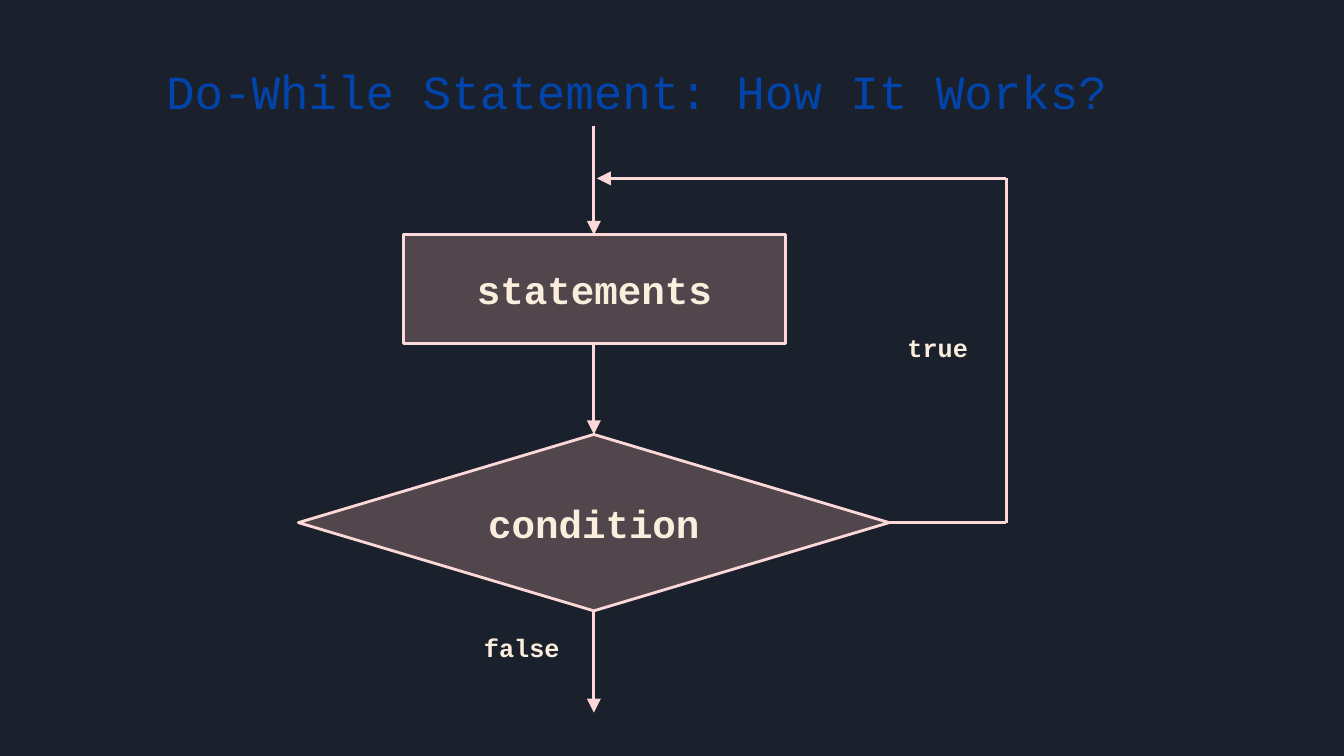
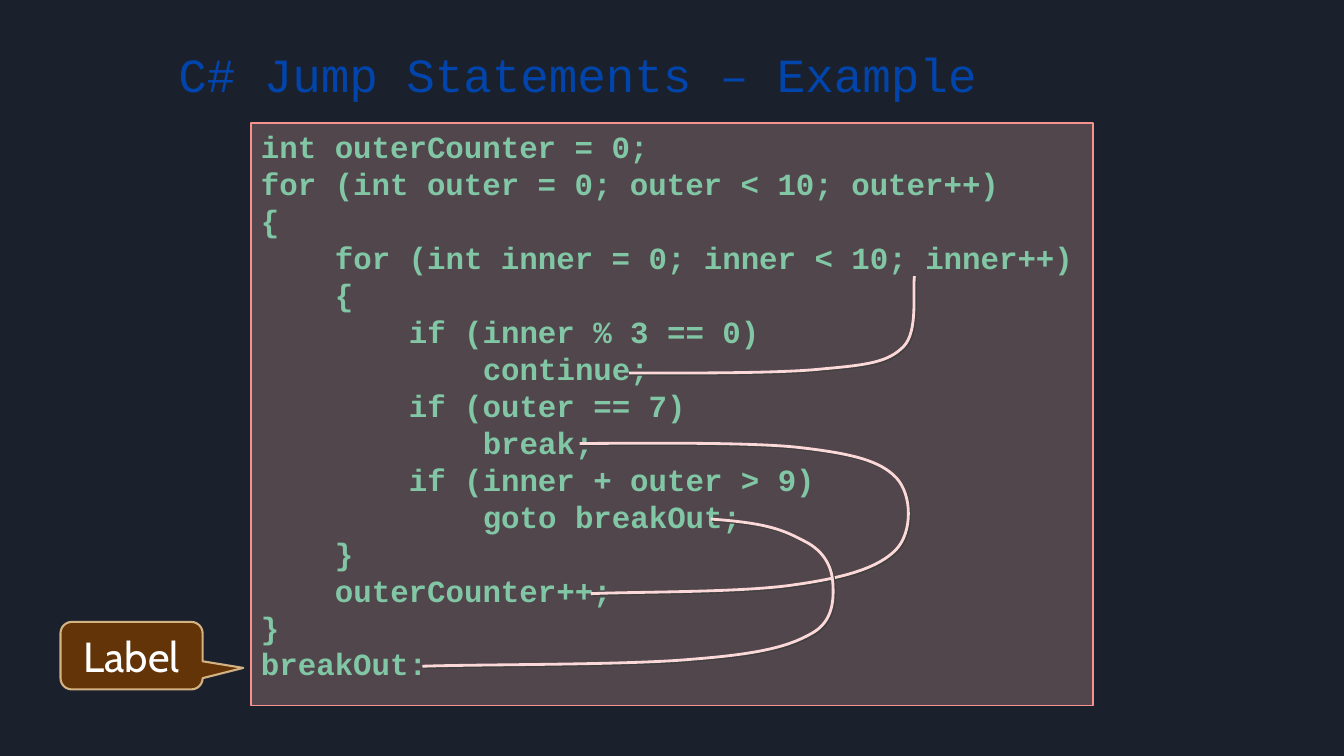
import pptx
import pptx.util
import pptx.dml.color
import pptx.enum.shapes
import pptx.enum.text
import pptx.oxml
import pptx.oxml.ns
from pptx.util import Inches, Pt

BACKGROUND = "1B212C"
TITLE_BLUE = "0145AC"
PANEL_PINK = "FAB6B3"
LINE_PINK = "FCD9D8"
CREAM = "FBEEDC"
CODE_GREEN = "82C7A5"
MONO = "Courier New"

SHAPES = pptx.enum.shapes.MSO_SHAPE
ANCHORS = pptx.enum.text.MSO_ANCHOR
ALIGNS = pptx.enum.text.PP_ALIGN

CODE_SIZE = 22
INDENT_STEP = 4 * 0.6 * CODE_SIZE  # four monospaced characters, in points
# Level of the first line, level of the line after a break, text
CODE = [
    (0, 0, "int outerCounter = 0;"),
    (0, 0, "for (int outer = 0; outer < 10; outer++)"),
    (0, 1, "{\vfor (int inner = 0; inner < 10; inner++)"),
    (1, 2, "{\vif (inner % 3 == 0)"),
    (3, 2, "continue;\vif (outer == 7)"),
    (3, 2, "break;\vif (inner + outer > 9)"),
    (3, 1, "goto breakOut;\v}"),
    (1, 1, "outerCounter++;"),
    (0, 0, "}\vbreakOut:"),
]

# Start point, then three points for each Bézier segment,
# in inches from the code panel's corner
CONTINUE_JUMP = [
    (3.75, 2.48),
    (4.08, 2.48), (5.22, 2.49), (5.67, 2.44),
    (6.13, 2.40), (6.32, 2.37), (6.47, 2.22),
    (6.62, 2.07), (6.56, 1.67), (6.58, 1.52),
]
BREAK_JUMP = [
    (3.26, 3.18),
    (3.63, 3.18), (4.92, 3.16), (5.44, 3.22),
    (5.96, 3.28), (6.24, 3.35), (6.40, 3.52),
    (6.56, 3.69), (6.56, 4.06), (6.40, 4.23),
    (6.23, 4.41), (5.90, 4.51), (5.40, 4.58),
    (4.89, 4.66), (3.79, 4.65), (3.37, 4.67),
]
GOTO_JUMP = [
    (4.56, 3.93),
    (5.13, 3.97), (5.28, 4.04), (5.49, 4.15),
    (5.69, 4.25), (5.76, 4.41), (5.77, 4.56),
    (5.78, 4.72), (5.78, 4.95), (5.55, 5.07),
    (5.32, 5.20), (5.02, 5.27), (4.38, 5.32),
    (3.74, 5.38), (2.26, 5.37), (1.70, 5.39),
]


def add_xml(parent, tag, **attributes):
    child = pptx.oxml.parse_xml(f"<a:{tag} {pptx.oxml.ns.nsdecls('a')}/>")
    for name, value in attributes.items():
        child.set(name, str(value))
    parent.append(child)
    return child


def paint(fill, color, opacity=100):
    fill.solid()
    fill.fore_color.rgb = pptx.dml.color.RGBColor.from_string(color)
    if opacity < 100:
        srgb = fill._xPr.find(".//" + pptx.oxml.ns.qn("a:srgbClr"))
        add_xml(srgb, "alpha", val=opacity * 1000)


def style_line(line, color=LINE_PINK, width=2, opacity=100):
    paint(line.fill, color, opacity)
    line.width = Pt(width)


def style_paragraph(paragraph, size, color, font=MONO, bold=False, align=ALIGNS.CENTER):
    paragraph.alignment = align
    paragraph.font.name = font
    paragraph.font.size = Pt(size)
    paragraph.font.bold = bold
    paint(paragraph.font.fill, color)


def add_text(slide, box, text, anchor=ANCHORS.TOP, **style):
    frame = slide.shapes.add_textbox(*map(Inches, box)).text_frame
    frame.word_wrap = True
    frame.vertical_anchor = anchor
    paragraph = frame.paragraphs[0]
    paragraph.text = text
    style_paragraph(paragraph, **style)
    return paragraph


def add_panel(slide, preset, box, color=PANEL_PINK, opacity=25):
    panel = slide.shapes.add_shape(preset, *map(Inches, box))
    panel.shadow.inherit = False
    paint(panel.fill, color, opacity)
    panel.text_frame.word_wrap = True
    panel.text_frame.vertical_anchor = ANCHORS.MIDDLE
    return panel


def add_step(slide, preset, box, text):
    step = add_panel(slide, preset, box)
    style_line(step.line)
    paragraph = step.text_frame.paragraphs[0]
    paragraph.text = text
    style_paragraph(paragraph, 28, CREAM, bold=True)


def add_flow(slide, start, end, arrow=True):
    flow = slide.shapes.add_connector(
        pptx.enum.shapes.MSO_CONNECTOR.STRAIGHT, *map(Inches, (*start, *end)))
    style_line(flow.line)
    if arrow:
        add_xml(flow.line._ln, "tailEnd", type="triangle", w="lg", len="lg")
    add_xml(flow._element.spPr, "effectLst")


def add_titled_slide(deck, title, box):
    slide = deck.slides.add_slide(deck.slide_layouts[6])
    paint(slide.background.fill, BACKGROUND)
    heading = add_text(slide, box, title, ANCHORS.BOTTOM, size=34,
                       color=TITLE_BLUE, align=ALIGNS.LEFT)
    heading.line_spacing = 0.9
    return slide


def add_loop_chart(slide, box):
    """Draw the do-while flow: statements, condition and the way back."""
    left, top, width, height = box
    right, bottom = left + width, top + height
    decision_width, decision_height = 5.86, 1.75
    axis = left + decision_width / 2
    statements_top, statements_height = top + 1.08, 1.08
    statements_bottom = statements_top + statements_height
    decision_top = top + 3.06
    decision_middle = decision_top + decision_height / 2
    loop_top = top + 0.52

    add_step(slide, SHAPES.RECTANGLE,
             (axis - 1.89, statements_top, 3.79, statements_height), "statements")
    add_step(slide, SHAPES.FLOWCHART_DECISION,
             (left, decision_top, decision_width, decision_height), "condition")

    for start, end in ((top, statements_top),
                       (statements_bottom, decision_top),
                       (decision_top + decision_height, bottom)):
        add_flow(slide, (axis, start), (axis, end))

    lower_corner, upper_corner = (right, decision_middle), (right, loop_top)
    add_flow(slide, (left + decision_width, decision_middle), lower_corner, arrow=False)
    add_flow(slide, lower_corner, upper_corner, arrow=False)
    add_flow(slide, upper_corner, (axis + 0.03, loop_top))

    for text, x, y, label_width in (("true", 5.81, 2, 1.06),
                                    ("false", 1.54, 4.97, 1.35)):
        add_text(slide, (left + x, top + y, label_width, 0.4), text,
                 size=18, color=CREAM, bold=True)


def bend_segments(freeform):
    """Turn each three straight segments into one cubic Bézier segment."""
    qn = pptx.oxml.ns.qn
    outline = freeform._element.spPr.find(".//" + qn("a:pathLst"))[0]
    segments = outline.findall(qn("a:lnTo"))
    for first in range(0, len(segments), 3):
        curve = add_xml(outline, "cubicBezTo")
        for segment in segments[first:first + 3]:
            curve.append(segment[0])
            outline.remove(segment)


def add_jump(slide, left, top, points):
    start, *rest = [(Inches(left + x), Inches(top + y)) for x, y in points]
    builder = slide.shapes.build_freeform(*start)
    builder.add_line_segments(rest, close=False)
    jump = builder.convert_to_shape()
    bend_segments(jump)
    jump.fill.background()
    style_line(jump.line)
    jump.shadow.inherit = False
    effects = jump._element.spPr.find(pptx.oxml.ns.qn("a:effectLst"))
    shadow = add_xml(effects, "outerShdw", dist=Pt(1.4), dir=45 * 60000)
    add_xml(shadow, "srgbClr", val="3F3F3F")


def add_code_panel(slide, box):
    left, top = box[:2]
    panel = add_panel(slide, SHAPES.RECTANGLE, box)
    style_line(panel.line, "F8928E", 1)
    frame = panel.text_frame
    frame.vertical_anchor = ANCHORS.TOP
    for number, (first_level, next_level, code) in enumerate(CODE):
        paragraph = frame.add_paragraph() if number else frame.paragraphs[0]
        paragraph.text = code
        paragraph.line_spacing = Pt(1.2 * CODE_SIZE)
        style_paragraph(paragraph, CODE_SIZE, CODE_GREEN, bold=True, align=ALIGNS.LEFT)
        properties = paragraph._p.get_or_add_pPr()
        properties.set("marL", str(Pt(next_level * INDENT_STEP)))
        properties.set("indent", str(Pt((first_level - next_level) * INDENT_STEP)))
    for points in (CONTINUE_JUMP, BREAK_JUMP, GOTO_JUMP):
        add_jump(slide, left, top, points)


def add_callout(slide, box, text):
    callout = add_panel(slide, SHAPES.ROUNDED_RECTANGULAR_CALLOUT, box, "663606", 95)
    for index, value in enumerate((0.786, 0.181, 0.167)):
        callout.adjustments[index] = value
    style_line(callout.line, "F8D49E", 1.5, 80)
    paragraph = callout.text_frame.paragraphs[0]
    paragraph.text = text
    style_paragraph(paragraph, 30, "FFFFFF", font="Cabin")


def main():
    deck = pptx.Presentation()
    deck.slide_width, deck.slide_height = Inches(13.33), Inches(7.5)

    loop_slide = add_titled_slide(
        deck, "Do-While Statement: How It Works?", (1.55, -0.01, 10, 1.25))
    add_loop_chart(loop_slide, (2.96, 1.25, 7.02, 5.82))

    jump_slide = add_titled_slide(
        deck, "C# Jump Statements – Example", (1.67, 0.07, 10, 1))
    add_code_panel(jump_slide, (2.49, 1.22, 8.35, 5.78))
    add_callout(jump_slide, (0.6, 6.17, 1.41, 0.67), "Label")

    deck.save("out.pptx")


if __name__ == "__main__":
    main()
